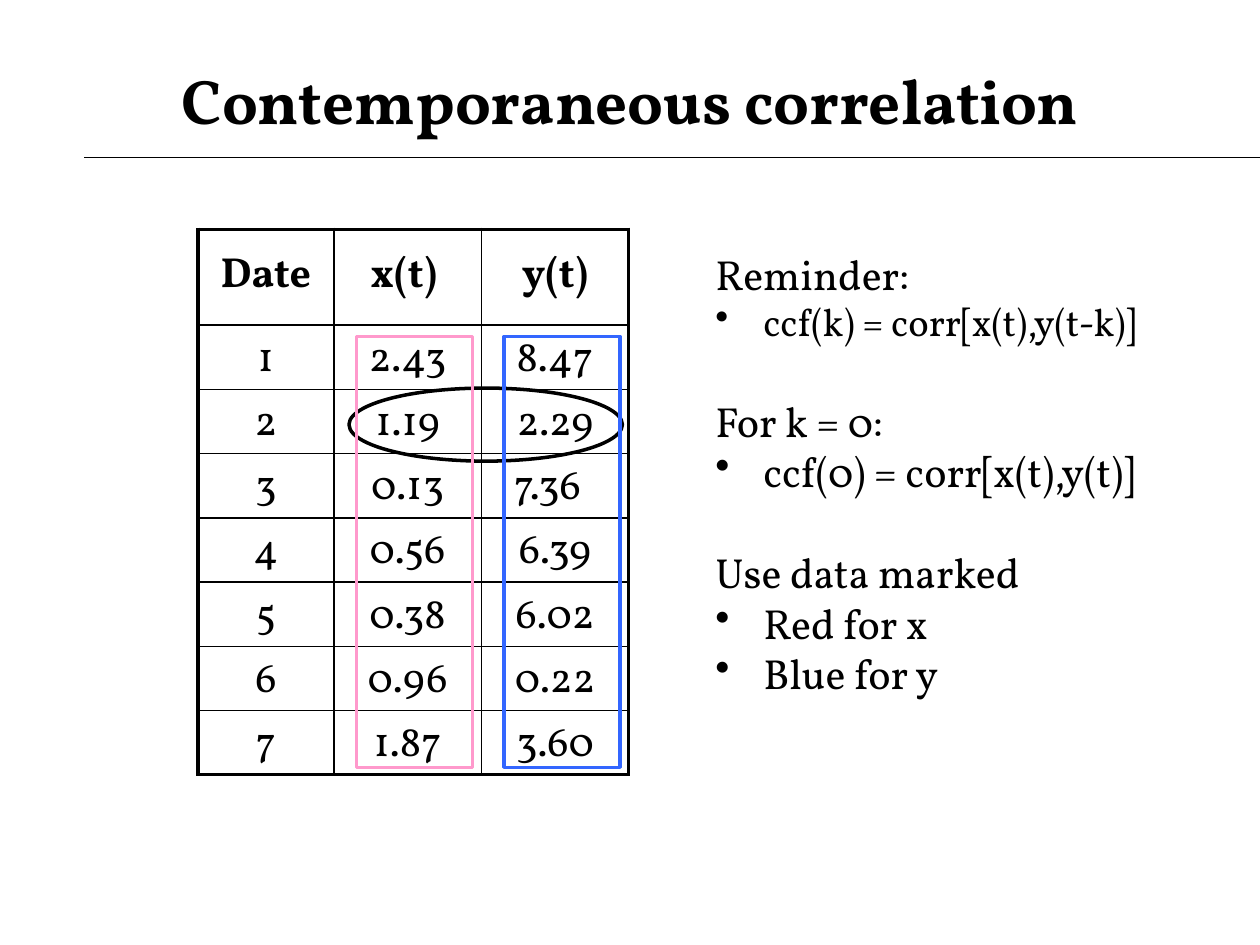
from lxml.etree import SubElement as Sub
from pptx import Presentation
from pptx.dml.color import RGBColor as RGB
from pptx.enum.shapes import MSO_CONNECTOR as LINK, MSO_SHAPE as KIND
from pptx.enum.text import MSO_ANCHOR as ANCHOR, PP_ALIGN as ALIGN
from pptx.oxml.ns import qn
from pptx.util import Inches, Pt

HUES = {"ink": "000000", "pink": "FF99CC", "blue": "3366FF"}
INK = RGB.from_string(HUES["ink"])
FACE = "Vollkorn"


def style(font, **more):
    font.color.rgb = INK
    for key, val in {"name": FACE, "size": Pt(24), "bold": False, **more}.items():
        setattr(font, key, val)


def edge(cell, side, width):
    line = Sub(cell._tc.get_or_add_tcPr(), qn(f"a:ln{side}"), w=str(Pt(width)))
    Sub(Sub(line, qn("a:solidFill")), qn("a:srgbClr"), val=HUES["ink"])


deck = Presentation()
deck.slide_width, deck.slide_height = Inches(10), Inches(7.5)
slide = deck.slides.add_slide(deck.slide_layouts[5])
shapes = slide.shapes

# Title and the rule below it
title = shapes.title
title.left, title.top = Inches(0.5), Inches(0.33)
title.width, title.height = Inches(9), Inches(0.92)
title.text_frame.text = "Contemporaneous correlation"
title.text_frame.vertical_anchor = ANCHOR.MIDDLE
para = title.text_frame.paragraphs[0]
para.alignment = ALIGN.CENTER
style(para.font, size=Pt(36), bold=True)

rule = shapes.add_connector(LINK.STRAIGHT, Inches(0.67), Inches(1.25),
                            Inches(10), Inches(1.25))
rule.line.color.rgb = INK
rule.line.width = Pt(0.75)
Sub(rule._element.spPr, qn("a:effectLst"))

# Notes: text, bulleted, size, space before
notes = [
    ("Reminder:", False, 24, 0),
    ("ccf(k) = corr[x(t),y(t-k)]", True, 22, 0),
    ("For k = 0:", False, 24, 29),
    ("ccf(0) = corr[x(t),y(t)]", True, 24, 0),
    ("Use data marked", False, 24, 29),
    ("Red for x", True, 24, 0),
    ("Blue for y", True, 24, 0),
]
box = shapes.add_textbox(Inches(5.58), Inches(1.92), Inches(3.83), Inches(4.17))
frame = box.text_frame
frame.word_wrap = True
for i, (text, dot, size, gap) in enumerate(notes):
    para = frame.add_paragraph() if i else frame.paragraphs[0]
    para.text = text
    if gap:
        para.space_before = Pt(gap)
    props = para._p.get_or_add_pPr()
    props.set("marL", str(Inches(0.38)))
    props.set("indent", str(Inches(-0.38)))
    if dot:
        Sub(props, qn("a:buChar"), char="•")
    else:
        Sub(props, qn("a:buNone"))
    style(para.font, size=Pt(size))

# Data table with a heavy outer frame
data = [
    ("Date", "x(t)", "y(t)"),
    ("1", "2.43", "8.47"),
    ("2", "1.19", "2.29"),
    ("3", "0.13", "7.36"),
    ("4", "0.56", "6.39"),
    ("5", "0.38", "6.02"),
    ("6", "0.96", "0.22"),
    ("7", "1.87", "3.60"),
]
shift = {(0, 1): 0.06, (3, 2): 0.12}  # cells set slightly left of centre
rows, cols = len(data), len(data[0])
table = shapes.add_table(rows, cols, Inches(1.57), Inches(1.82),
                         Inches(3.42), Inches(4.35)).table
table.first_row = table.horz_banding = False
for c, width in enumerate((1.08, 1.17, 1.17)):
    table.columns[c].width = Inches(width)
for r, row in enumerate(data):
    table.rows[r].height = Inches(0.51 if r else 0.76)
    for c, text in enumerate(row):
        cell = table.cell(r, c)
        cell.text = text
        cell.vertical_anchor = ANCHOR.MIDDLE
        cell.margin_right = Inches(0.1 + shift.get((r, c), 0))
        para = cell.text_frame.paragraphs[0]
        para.alignment = ALIGN.CENTER
        style(para.font, bold=r == 0)
        outer = {"L": c == 0, "R": c == cols - 1, "T": r == 0, "B": r == rows - 1}
        for side, heavy in outer.items():
            edge(cell, side, 2.25 if heavy else 1)
        cell.fill.background()

# Marks over the data
marks = [
    (KIND.OVAL, 2.77, 3.08, 2.17, 0.58, "ink"),
    (KIND.RECTANGLE, 2.83, 2.67, 0.92, 3.42, "pink"),
    (KIND.RECTANGLE, 4, 2.67, 0.92, 3.42, "blue"),
]
for kind, *place, hue in marks:
    mark = shapes.add_shape(kind, *map(Inches, place))
    mark.shadow.inherit = False
    mark.fill.background()
    mark.line.color.rgb = RGB.from_string(HUES[hue])
    mark.line.width = Pt(2)

deck.save("out.pptx")
